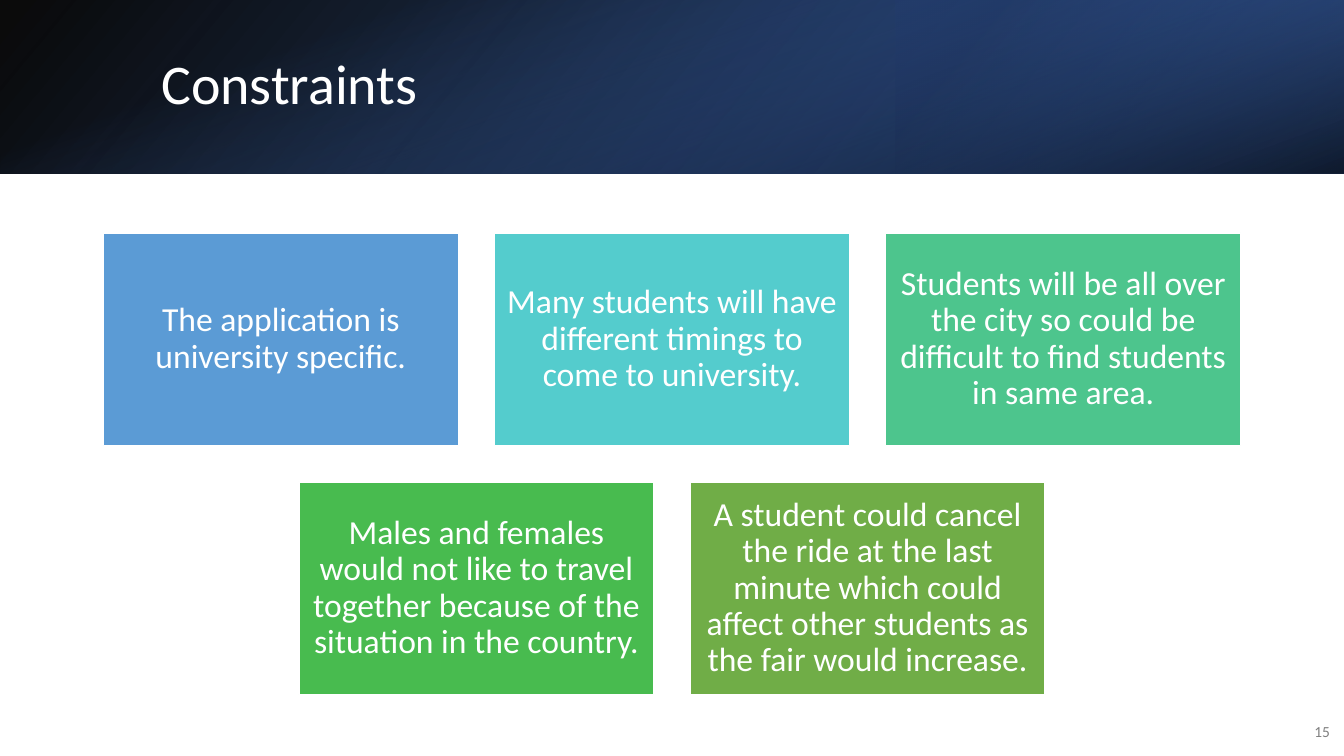
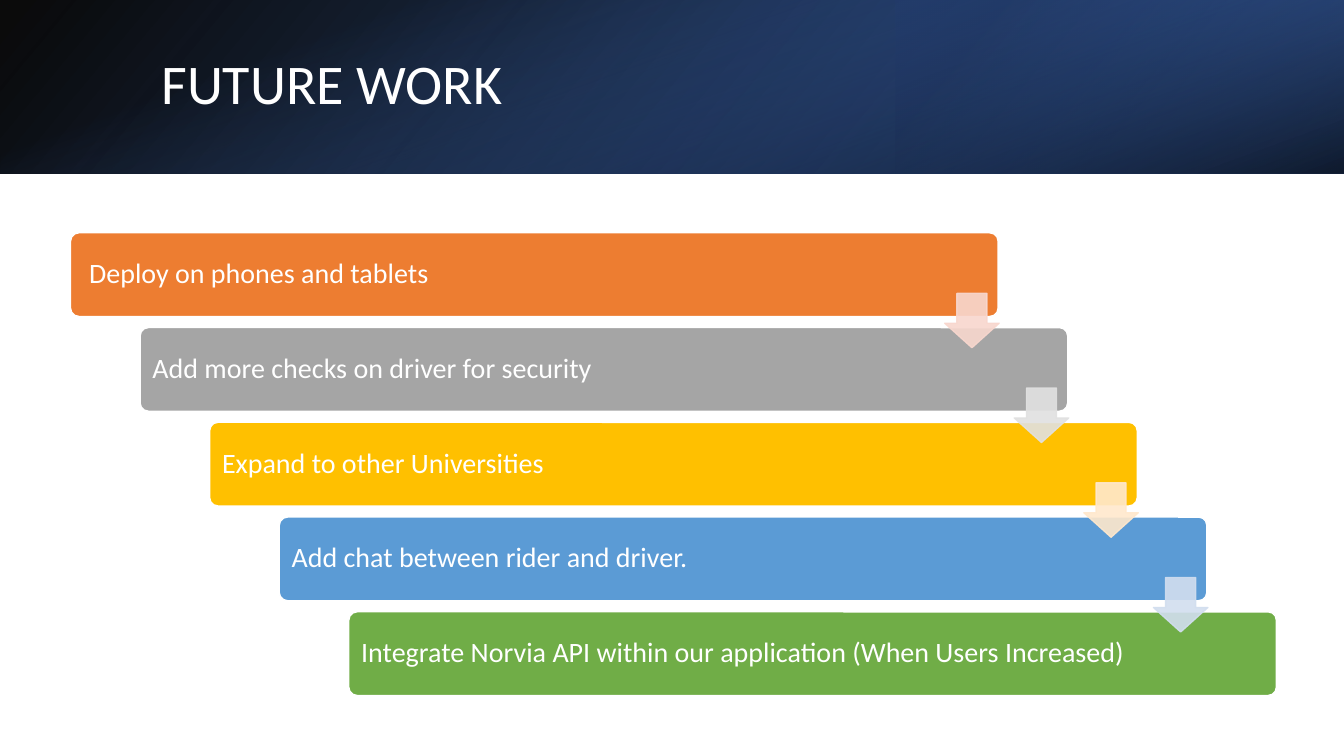
from dataclasses import dataclass
from typing import NamedTuple, Optional

from lxml.etree import SubElement
from pptx import Presentation
from pptx.dml.color import RGBColor
from pptx.enum.shapes import MSO_SHAPE
from pptx.enum.text import MSO_ANCHOR, PP_ALIGN
from pptx.oxml import parse_xml
from pptx.oxml.ns import nsdecls, qn
from pptx.util import Inches, Pt

SLIDE_W, SLIDE_H = 13.33, 7.5
BAND_H = 1.72
CONTENT_TOP = 2.31


@dataclass(frozen=True)
class Theme:
    font: str = "Calibri"
    light: str = "FFFFFF"
    muted: str = "808080"
    black: str = "000000"
    navy: str = "203864"
    deep_blue: str = "2F5597"
    bright_blue: str = "4472C4"
    title_size: int = 40
    card_size: int = 24
    step_size: int = 20
    number_size: int = 11


THEME = Theme()


class Box(NamedTuple):
    left: float
    top: float
    width: float
    height: float


class Stop(NamedTuple):
    position: int
    color: str
    opacity: int = 100


@dataclass(frozen=True)
class BandLayer:
    box: Box
    angle: int
    stops: tuple[Stop, ...]
    rotation: int = 0
    flipped: bool = False


class Card(NamedTuple):
    text: str
    color: str


class Step(NamedTuple):
    text: str
    color: str
    arrow: Optional[str] = None
    indent: float = 0


BAND_LAYERS = (
    BandLayer(Box(0, 0, SLIDE_W, BAND_H), 140,
              (Stop(0, THEME.black, 96), Stop(100, THEME.deep_blue)), flipped=True),
    BandLayer(Box(SLIDE_W * 2 / 3, 0, SLIDE_W / 3, BAND_H), 320,
              (Stop(19, THEME.navy, 68), Stop(100, THEME.bright_blue, 79)),
              rotation=180, flipped=True),
    BandLayer(Box((SLIDE_W - BAND_H) / 2, (BAND_H - SLIDE_W) / 2, BAND_H, SLIDE_W), 340,
              (Stop(23, THEME.bright_blue, 0), Stop(99, THEME.black, 74)), rotation=90),
)

CARD_ROWS = (
    (
        Card("The application is university specific.", "5B9BD5"),
        Card("Many students will have different timings to come to university.", "54CCCD"),
        Card("Students will be all over the city so could be difficult to find "
             "students in same area.", "4DC58D"),
    ),
    (
        Card("Males and females would not like to travel together because of the "
             "situation in the country.", "48BB4F"),
        Card("A student could cancel the ride at the last minute which could affect "
             "other students as the fair would increase.", "70AD47"),
    ),
)

STEPS = (
    Step("Deploy on phones and tablets", "ED7D31", "F8D7CE", indent=0.06),
    Step("Add more checks on driver for security", "A5A5A5", "E1E1E1"),
    Step("Expand to other Universities", "FFC000", "FFE8CC"),
    Step("Add chat between rider and driver.", "5B9BD5", "D2DEEF"),
    Step("Integrate Norvia API within our application (When Users Increased)", "70AD47"),
)


def place(box: Box) -> list[int]:
    return [Inches(length) for length in box]


def write(frame, text: str, *, size: int, color: str = THEME.light,
          align: PP_ALIGN = PP_ALIGN.LEFT, spacing: float = 1.0,
          margins: tuple[float, float, float, float] = (0.1, 0.05, 0.1, 0.05)) -> None:
    """Fill a text frame; margins run left, top, right, bottom."""
    frame.word_wrap = True
    frame.vertical_anchor = MSO_ANCHOR.MIDDLE
    (frame.margin_left, frame.margin_top,
     frame.margin_right, frame.margin_bottom) = (Inches(m) for m in margins)
    paragraph = frame.paragraphs[0]
    paragraph.alignment = align
    paragraph.line_spacing = spacing
    run = paragraph.add_run()
    run.text = text
    run.font.name = THEME.font
    run.font.size = Pt(size)
    run.font.color.rgb = RGBColor.from_string(color)


def add_block(slide, kind: MSO_SHAPE, box: Box, color: str, *,
              outline: str = THEME.light, opacity: int = 100,
              adjustments: tuple[float, ...] = ()):
    block = slide.shapes.add_shape(kind, *place(box))
    block.shadow.inherit = False
    for index, value in enumerate(adjustments):
        block.adjustments[index] = value
    block.fill.solid()
    block.fill.fore_color.rgb = RGBColor.from_string(color)
    block.line.color.rgb = RGBColor.from_string(outline)
    block.line.width = Pt(1)
    if opacity < 100:
        for tint in block.element.spPr.iter(qn("a:srgbClr")):
            SubElement(tint, qn("a:alpha"), val=str(opacity * 1000))
    return block


def add_band_layer(slide, layer: BandLayer) -> None:
    band = slide.shapes.add_shape(MSO_SHAPE.RECTANGLE, *place(layer.box))
    band.shadow.inherit = False
    band.rotation = layer.rotation
    band.line.fill.background()
    band.fill.background()
    properties = band.element.spPr
    if layer.flipped:
        properties.find(qn("a:xfrm")).set("flipH", "1")
    stops = "".join(
        f'<a:gs pos="{stop.position * 1000}"><a:srgbClr val="{stop.color}">'
        f'<a:alpha val="{stop.opacity * 1000}"/></a:srgbClr></a:gs>'
        for stop in layer.stops)
    gradient = parse_xml(
        f'<a:gradFill {nsdecls("a")} rotWithShape="1"><a:gsLst>{stops}</a:gsLst>'
        f'<a:lin ang="{layer.angle * 60000}" scaled="0"/></a:gradFill>')
    properties.replace(properties.find(qn("a:noFill")), gradient)


def add_titled_slide(deck, heading: str):
    slide = deck.slides.add_slide(deck.slide_layouts[5])
    for layer in BAND_LAYERS:
        add_band_layer(slide, layer)
    title = slide.shapes.title
    title.left, title.top, title.width, title.height = place(Box(1.5, 0.38, 10.98, 0.96))
    write(title.text_frame, heading, size=THEME.title_size, spacing=0.9)
    title.element.getparent().append(title.element)  # in front of the band
    return slide


def add_page_number(slide, number: int) -> None:
    corner = slide.shapes.add_textbox(*place(Box(12.8, 7.06, 0.49, 0.4)))
    write(corner.text_frame, str(number), size=THEME.number_size,
          color=THEME.muted, align=PP_ALIGN.RIGHT)


def add_card_grid(slide, rows: tuple[tuple[Card, ...], ...]) -> None:
    """Stack rows of equal cards, each row centred on the slide."""
    width, height, gap = 3.52, 2.11, 0.36
    for row, cards in enumerate(rows):
        row_left = (SLIDE_W - len(cards) * (width + gap) + gap) / 2
        for column, card in enumerate(cards):
            box = Box(row_left + column * (width + gap),
                      CONTENT_TOP + row * (height + gap), width, height)
            block = add_block(slide, MSO_SHAPE.RECTANGLE, box, card.color)
            write(block.text_frame, card.text, size=THEME.card_size,
                  align=PP_ALIGN.CENTER, spacing=0.9, margins=(0.1,) * 4)


def add_cascade(slide, steps: tuple[Step, ...]) -> None:
    """Draw bars that move right as they go down, then the arrows between them."""
    corners = [(0.7 + 0.69 * i, CONTENT_TOP + 0.94 * i) for i in range(len(steps))]
    for step, (left, top) in zip(steps, corners):
        bar = add_block(slide, MSO_SHAPE.ROUNDED_RECTANGLE, Box(left, top, 9.2, 0.83),
                        step.color, adjustments=(0.1,))
        write(bar.text_frame, step.text, size=THEME.step_size, spacing=0.9,
              margins=(0.1 + step.indent, 0.1, 0.1, 0.1))
    for step, (left, top) in zip(steps, corners):
        if step.arrow:
            add_block(slide, MSO_SHAPE.DOWN_ARROW, Box(left + 8.67, top + 0.6, 0.54, 0.54),
                      step.arrow, outline=step.arrow, opacity=90, adjustments=(0.55, 0.45))


def main() -> None:
    deck = Presentation()
    deck.slide_width, deck.slide_height = Inches(SLIDE_W), Inches(SLIDE_H)

    constraints = add_titled_slide(deck, "Constraints")
    add_page_number(constraints, 15)
    add_card_grid(constraints, CARD_ROWS)

    future_work = add_titled_slide(deck, "FUTURE WORK")
    add_cascade(future_work, STEPS)

    deck.save("out.pptx")


if __name__ == "__main__":
    main()
